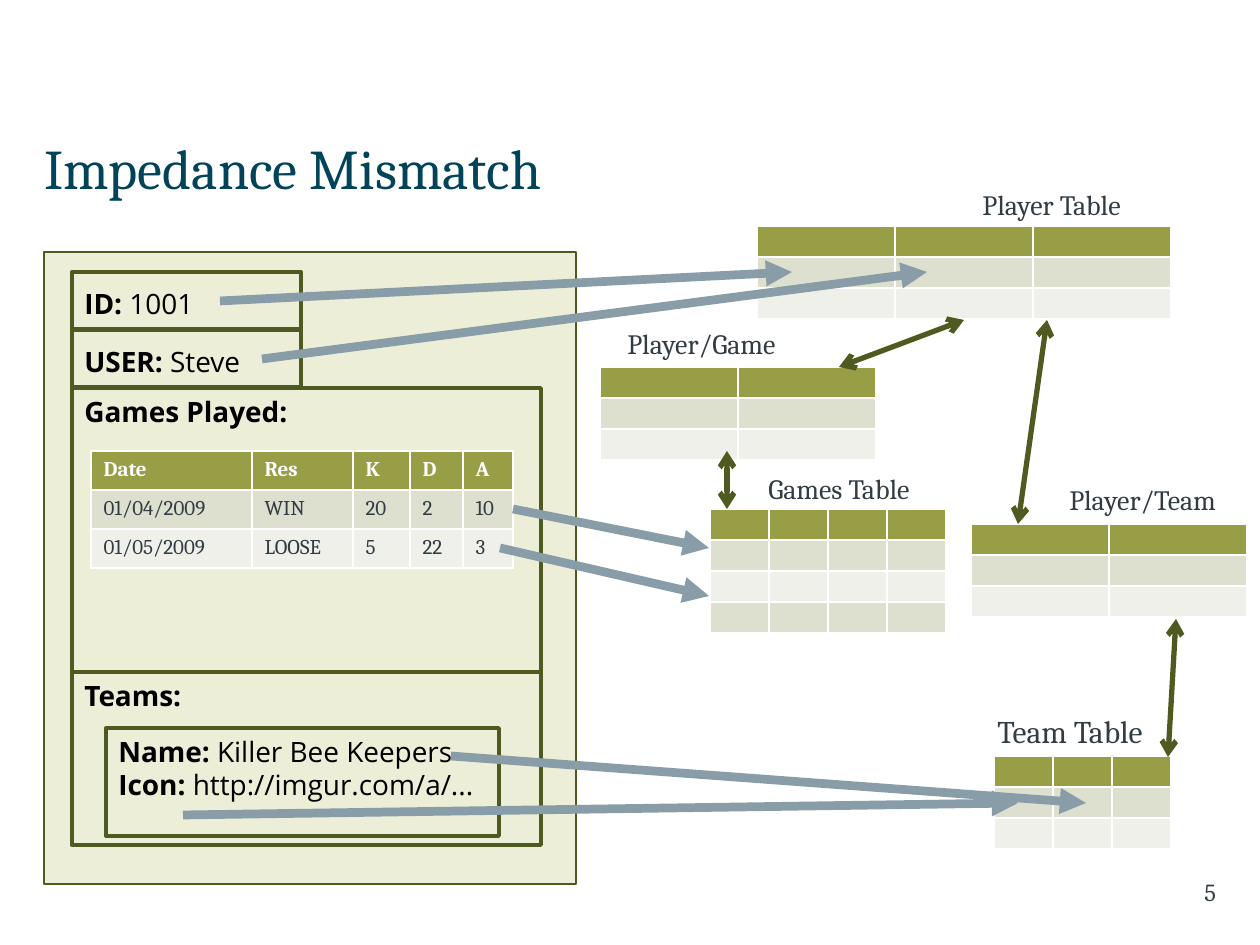
from dataclasses import dataclass

from lxml import etree
from pptx import Presentation
from pptx import util as u
from pptx.dml.color import RGBColor
from pptx.enum import shapes, text
from pptx.oxml.ns import qn


@dataclass(frozen=True)
class Theme:
    """Colours, fonts and type sizes of the slide."""
    heading: str = "014359"
    body: str = "323D43"
    record_text: str = "000000"
    panel: str = "ECEED8"
    outline: str = "4F5A20"
    mapping: str = "889DA8"
    header: str = "979E45"
    header_text: str = "FFFFFF"
    bands: tuple = ("DDDFCF", "EFF0E9")
    serif: str = "Cambria"
    sans: str = "Open Sans"
    title_size: int = 32
    team_size: int = 18
    label_size: int = 16
    number_size: int = 14
    cell_size: int = 12
    empty_size: int = 8


@dataclass(frozen=True)
class Field:
    """A box of the player record, with (name, value) lines."""
    left: int
    top: int
    width: int
    height: int
    lines: tuple
    anchor: text.MSO_ANCHOR = text.MSO_ANCHOR.TOP


@dataclass(frozen=True)
class Relation:
    """An empty relational table and its label."""
    name: str
    left: int
    top: int
    columns: int
    column_width: int
    label_left: int
    label_top: int
    label_width: int
    rows: int = 3
    label_size: int = 16


@dataclass(frozen=True)
class Link:
    """A line between two points."""
    x1: int
    y1: int
    x2: int
    y2: int


THEME = Theme()
EMU_PER_PX = 914400 / 126
EMPTY_ROW = 31
GAME_ROW = 39
MIDDLE = text.MSO_ANCHOR.MIDDLE

FIELDS = (
    Field(72, 272, 229, 57, (("ID: ", "1001"),), MIDDLE),
    Field(72, 330, 229, 57, (("USER:", " Steve"),), MIDDLE),
    Field(72, 388, 469, 284, (("Games Played:", ""),)),
    Field(72, 672, 469, 173, (("Teams:", ""),)),
    Field(106, 728, 393, 108, (("Name: ", "Killer Bee Keepers"),
                               ("Icon:", " http://imgur.com/a/..."))),
)
GAMES = (
    ("Date", "Res", "K", "D", "A"),
    ("01/04/2009", "WIN", "20", "2", "10"),
    ("01/05/2009", "LOOSE", "5", "22", "3"),
)
GAME_COLUMNS = (161, 101, 57, 53, 50)
RELATIONS = (
    Relation("Player Table", 757, 226, 3, 138, 970, 181, 180),
    Relation("Games Table", 710, 509, 4, 59, 756, 465, 188, rows=4),
    Relation("Team Table", 994, 756, 3, 59, 985, 706, 190, label_size=THEME.team_size),
    Relation("Player/Game", 600, 367, 2, 138, 615, 320, 190),
    Relation("Player/Team", 971, 524, 2, 138, 1057, 476, 188),
)
MAPPINGS = (
    Link(220, 301, 792, 272), Link(262, 359, 927, 272),
    Link(513, 509, 709, 548), Link(500, 548, 709, 596),
    Link(451, 756, 1086, 803), Link(183, 815, 1018, 803),
)
REFERENCES = (
    Link(839, 367, 964, 320), Link(727, 451, 727, 509),
    Link(1018, 524, 1047, 320), Link(1176, 619, 1168, 757),
)


def px(*lengths: int) -> list:
    """Turn pixel lengths into EMU."""
    return [u.Emu(round(length * EMU_PER_PX)) for length in lengths]


def style(run, size: int, color: str, font: str, bold: bool = False) -> None:
    """Format one run."""
    run.font.size, run.font.name, run.font.bold = u.Pt(size), font, bold
    run.font.color.rgb = RGBColor.from_string(color)


def draw_title(slide, wording: str) -> None:
    """Place and format the title."""
    title = slide.shapes.title
    title.left, title.top, title.width, title.height = px(44, 123, 1171, 89)
    frame = title.text_frame
    frame.text = wording
    frame.margin_left = 0
    frame.vertical_anchor = MIDDLE
    frame.paragraphs[0].alignment = text.PP_ALIGN.LEFT
    style(frame.paragraphs[0].runs[0], THEME.title_size, THEME.heading, THEME.serif)


def draw_box(slide, box: tuple, line_width: float, fill: str = ""):
    """Draw an outlined rectangle."""
    rect = slide.shapes.add_shape(shapes.MSO_SHAPE.RECTANGLE, *px(*box))
    rect.shadow.inherit = False
    rect.line.color.rgb = RGBColor.from_string(THEME.outline)
    rect.line.width = u.Pt(line_width)
    if fill:
        rect.fill.solid()
        rect.fill.fore_color.rgb = RGBColor.from_string(fill)
    else:
        rect.fill.background()
    return rect


def draw_field(slide, field: Field) -> None:
    """Draw a record box with bold names and plain values."""
    frame = draw_box(slide, (field.left, field.top, field.width, field.height), 2.25).text_frame
    frame.margin_bottom = 0
    frame.vertical_anchor = field.anchor
    for index, line in enumerate(field.lines):
        paragraph = frame.add_paragraph() if index else frame.paragraphs[0]
        paragraph.alignment = text.PP_ALIGN.LEFT
        for part, bold in zip(line, (True, False)):
            if part:
                run = paragraph.add_run()
                run.text = part
                style(run, THEME.label_size, THEME.record_text, THEME.sans, bold)


def draw_table(slide, left: int, top: int, widths: tuple, row_height: int, rows: tuple) -> None:
    """Draw a banded table with a header row."""
    box = px(left, top, sum(widths), row_height * len(rows))
    table = slide.shapes.add_table(len(rows), len(widths), *box).table
    for column, width in zip(table.columns, px(*widths)):
        column.width = width
    for r, row in enumerate(rows):
        table.rows[r].height = px(row_height)[0]
        for c, value in enumerate(row):
            cell = table.cell(r, c)
            cell.fill.solid()
            fill = THEME.bands[(r - 1) % 2] if r else THEME.header
            cell.fill.fore_color.rgb = RGBColor.from_string(fill)
            paragraph = cell.text_frame.paragraphs[0]
            if value:
                paragraph.text = value
                color = THEME.body if r else THEME.header_text
                style(paragraph.runs[0], THEME.cell_size, color, THEME.serif, r == 0)
            else:
                end = etree.SubElement(paragraph._p, qn("a:endParaRPr"))
                end.set("sz", str(THEME.empty_size * 100))


def draw_link(slide, link: Link, color: str, width: int, **ends: str) -> None:
    """Draw a line with the given arrowheads."""
    line = slide.shapes.add_connector(shapes.MSO_CONNECTOR.STRAIGHT,
                                      *px(link.x1, link.y1, link.x2, link.y2))
    line.line.color.rgb = RGBColor.from_string(color)
    line.line.width = u.Pt(width)
    for end, kind in ends.items():
        etree.SubElement(line.line._get_or_add_ln(), qn(f"a:{end}")).set("type", kind)
    etree.SubElement(line._element.spPr, qn("a:effectLst"))


def draw_label(slide, wording: str, box: tuple, size: int):
    """Draw a one-line text and return its frame."""
    frame = slide.shapes.add_textbox(*px(*box)).text_frame
    frame.text = wording
    style(frame.paragraphs[0].runs[0], size, THEME.body, THEME.serif)
    return frame


def main() -> None:
    """Build the slide and save it."""
    deck = Presentation()
    deck.slide_width, deck.slide_height = px(1260, 945)
    slide = deck.slides.add_slide(deck.slide_layouts[5])
    draw_box(slide, (44, 252, 532, 632), 1, THEME.panel)
    draw_title(slide, "Impedance Mismatch")
    for field in FIELDS:
        draw_field(slide, field)
    draw_table(slide, 91, 451, GAME_COLUMNS, GAME_ROW, GAMES)
    for relation in RELATIONS:
        blank = (("",) * relation.columns,) * relation.rows
        widths = (relation.column_width,) * relation.columns
        draw_table(slide, relation.left, relation.top, widths, EMPTY_ROW, blank)
        box = (relation.label_left, relation.label_top, relation.label_width, 47)
        frame = draw_label(slide, relation.name, box, relation.label_size)
        frame.word_wrap = False
        frame.auto_size = text.MSO_AUTO_SIZE.SHAPE_TO_FIT_TEXT
    for link in MAPPINGS:
        draw_link(slide, link, THEME.mapping, 5, tailEnd="triangle")
    for link in REFERENCES:
        draw_link(slide, link, THEME.outline, 3, headEnd="arrow", tailEnd="arrow")
    number = draw_label(slide, "5", (974, 871, 242, 43), THEME.number_size)
    number.word_wrap = True
    number.margin_right = 0
    number.paragraphs[0].alignment = text.PP_ALIGN.RIGHT
    deck.save("out.pptx")


if __name__ == "__main__":
    main()
